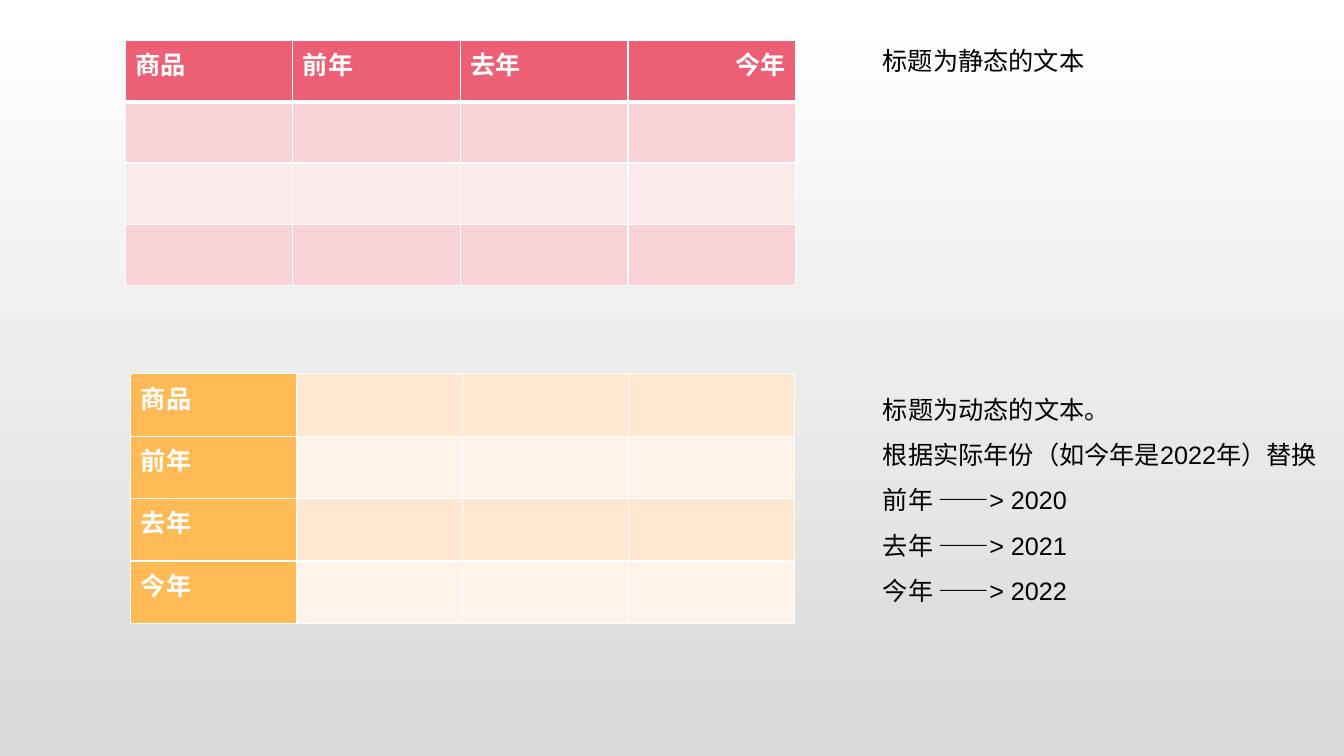
from lxml import etree
from pptx import Presentation
from pptx.dml.color import RGBColor
from pptx.enum.text import PP_ALIGN
from pptx.oxml.ns import qn
from pptx.util import Pt

RIGHT = PP_ALIGN.RIGHT
WHITE = RGBColor(0xFF, 0xFF, 0xFF)
GREY = RGBColor(0xD9, 0xD9, 0xD9)
BLACK = RGBColor(0, 0, 0)
RED = RGBColor(0xEC, 0x5F, 0x74)
RED_BANDS = (RGBColor(0xF8, 0xD2, 0xD6), RGBColor(0xFB, 0xEA, 0xEB))
ORANGE = RGBColor(0xFF, 0xBA, 0x55)
ORANGE_BANDS = (RGBColor(0xFF, 0xE7, 0xD1), RGBColor(0xFF, 0xF3, 0xE9))
HEADINGS = ["商品", "前年", "去年", "今年"]
N = len(HEADINGS)


def style_cell(cell, color, top=1, bottom=1):
    """Give a cell white borders (widths in points) and a solid fill."""
    tcPr = cell._tc.get_or_add_tcPr()
    for tag, width in (("lnL", 1), ("lnR", 1), ("lnT", top), ("lnB", bottom)):
        ln = etree.SubElement(tcPr, qn("a:" + tag), w=str(Pt(width)))
        fill = etree.SubElement(ln, qn("a:solidFill"))
        etree.SubElement(fill, qn("a:srgbClr"), val=str(WHITE))
    cell.fill.solid()
    cell.fill.fore_color.rgb = color


def style_paragraph(p, color, bold=False):
    """Set the common text font on a paragraph."""
    p.font.name = "Arial"
    p.font.size = Pt(18)
    p.font.bold = bold
    p.font.color.rgb = color


prs = Presentation()
prs.slide_width, prs.slide_height = Pt(960), Pt(540)
s = prs.slides.add_slide(prs.slide_layouts[6])

bg = s.background.fill
bg.gradient()
bg.gradient_angle = 270
for stop, color in zip(bg.gradient_stops, (WHITE, GREY)):
    stop.color.rgb = color

# Tables: headings across the top, then headings down the side
for left, top, col_width, row_height, head_color, bands, across in (
    (89.5, 29, 119.7, 43.75, RED, RED_BANDS, True),
    (93.5, 267, 118.6, 44.6, ORANGE, ORANGE_BANDS, False),
):
    table = s.shapes.add_table(N, N, Pt(left), Pt(top),
                               Pt(col_width * N), Pt(row_height * N)).table
    table.first_row = across
    table.first_col = not across
    for i in range(N):
        table.columns[i].width = Pt(col_width)
        table.rows[i].height = Pt(row_height)
    for row in range(N):
        for col in range(N):
            cell = table.cell(row, col)
            line, position = (row, col) if across else (col, row)
            is_head = line == 0
            band = bands[(row - across) % 2]
            style_cell(cell, head_color if is_head else band,
                       top=3 if across and row == 1 else 1,
                       bottom=3 if across and is_head else 1)
            p = cell.text_frame.paragraphs[0]
            style_paragraph(p, WHITE, bold=is_head)
            if is_head:
                p.text = HEADINGS[position]
                if across and position == N - 1:
                    p.alignment = RIGHT

# Notes to the right of each table
dynamic_note = ["标题为动态的文本。", "根据实际年份（如今年是2022年）替换"]
dynamic_note += [f"{name} ——> {year}" for name, year in zip(HEADINGS[1:], range(2020, 2023))]
for top, width, height, spacing, lines in (
    (29, 160, 29, 1.0, ["标题为静态的文本"]),
    (267, 325, 192, 1.5, dynamic_note),
):
    tf = s.shapes.add_textbox(Pt(623.5), Pt(top), Pt(width), Pt(height)).text_frame
    tf.word_wrap = True
    tf.text = "\n".join(lines)
    for p in tf.paragraphs:
        style_paragraph(p, BLACK)
        p.line_spacing = spacing

prs.save("out.pptx")
